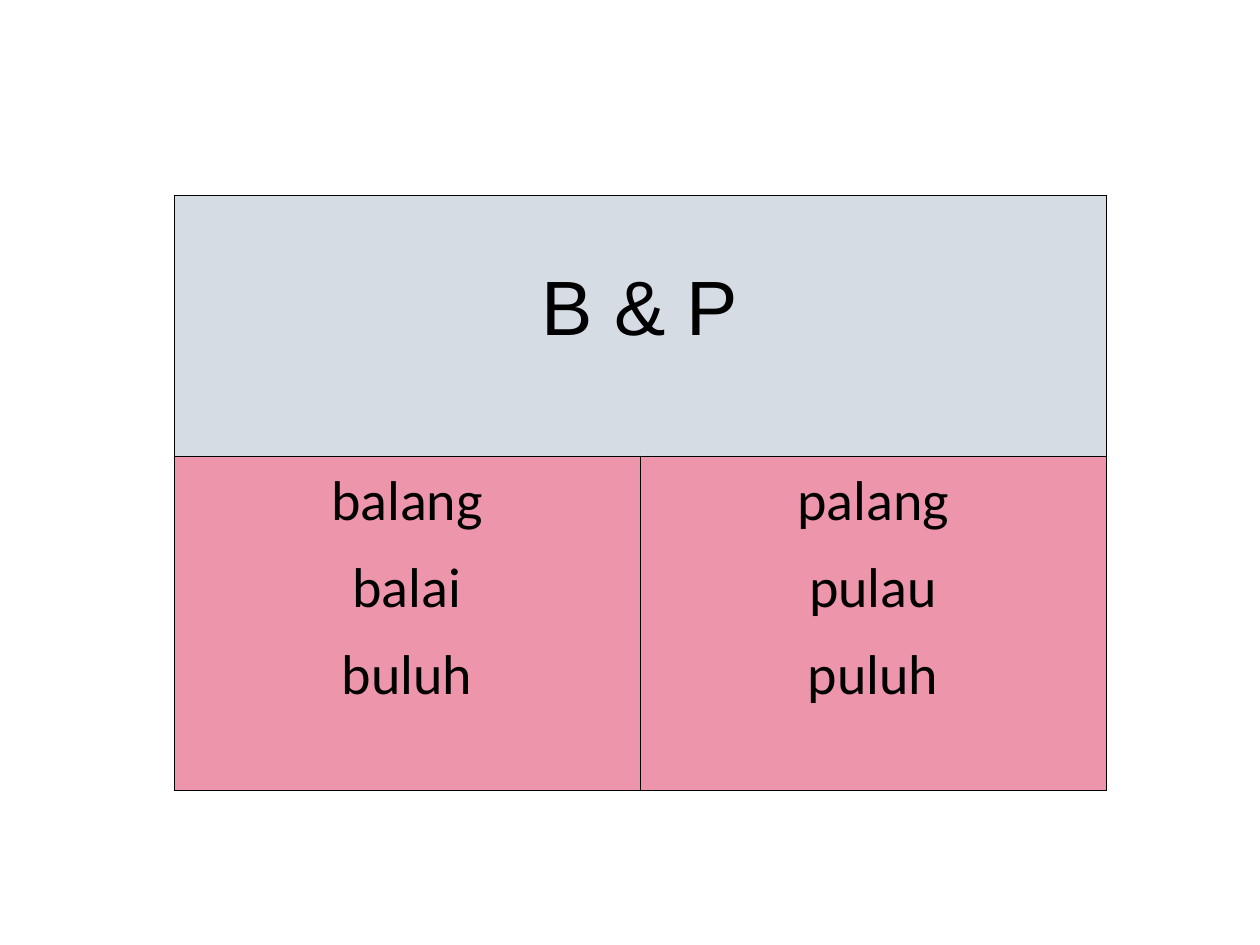
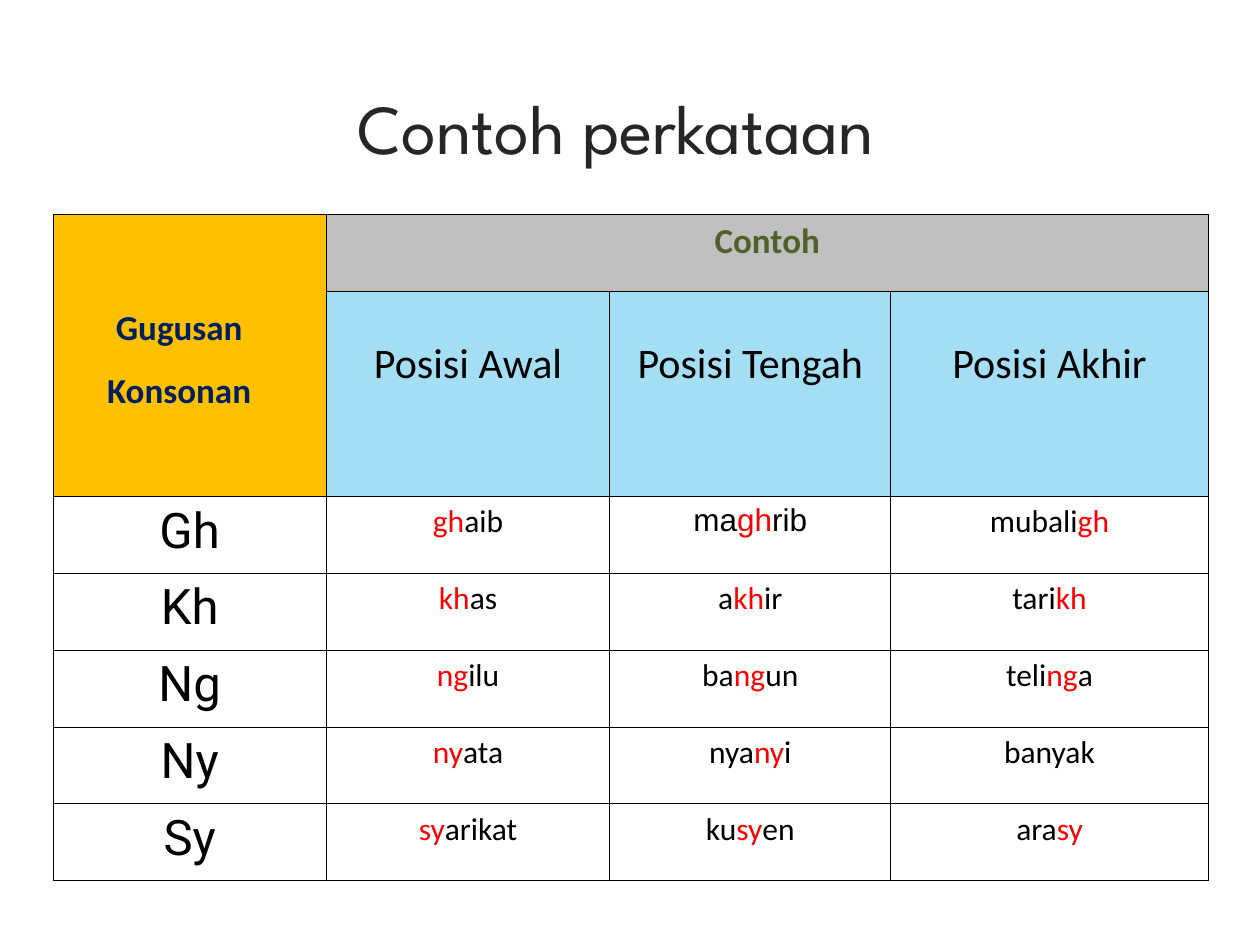
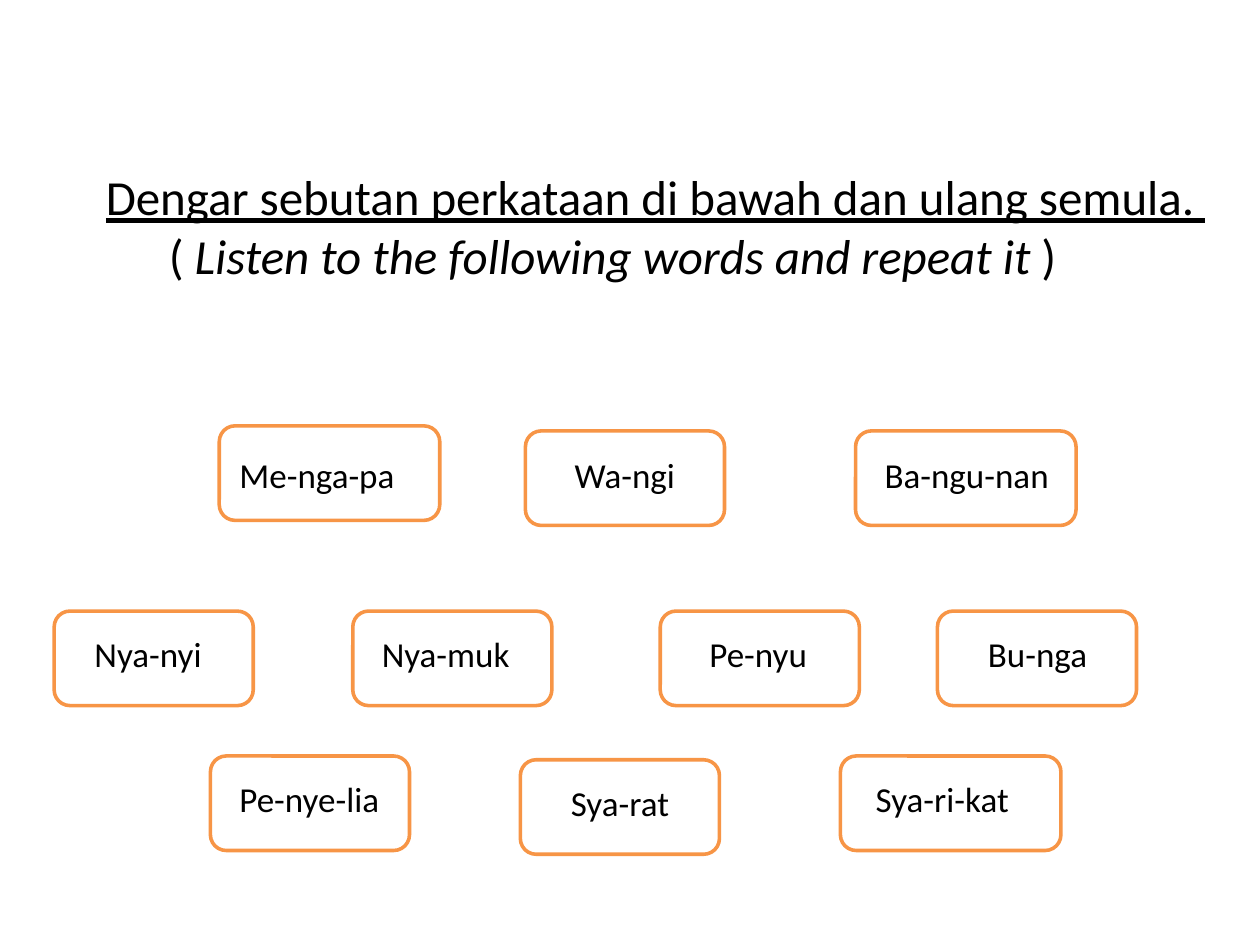
from lxml.etree import SubElement
from pptx import Presentation
from pptx.dml.color import RGBColor
from pptx.enum.shapes import MSO_SHAPE
from pptx.enum.text import MSO_ANCHOR, PP_ALIGN
from pptx.oxml.ns import qn
from pptx.util import Inches, Pt

BLACK, RED, ORANGE = "000000", "FF0000", "F79546"


def color(value):
    return RGBColor.from_string(value)


class Deck:
    """Holds the shared style and the current slide."""

    font = "Calibri"
    word_size = 20

    def __init__(self):
        self.presentation = Presentation()
        self.presentation.slide_width = Inches(10)
        self.presentation.slide_height = Inches(7.5)
        self.slide = None

    def new_slide(self):
        self.slide = self.presentation.slides.add_slide(self.presentation.slide_layouts[6])

    def style(self, paragraph, size, text_color=BLACK, font=None, bold=False):
        paragraph.font.size = Pt(size)
        paragraph.font.name = font or self.font
        paragraph.font.color.rgb = color(text_color)
        paragraph.font.bold = bold

    def text_box(self, left, top, width, height, text="", size=20, **look):
        shape = self.slide.shapes.add_textbox(
            Inches(left), Inches(top), Inches(width), Inches(height))
        frame = shape.text_frame
        frame.word_wrap = True
        frame.margin_left = frame.margin_right = frame.margin_bottom = 0
        frame.margin_top = Inches(0.01)
        paragraph = frame.paragraphs[0]
        if text:
            paragraph.text = text
        self.style(paragraph, size, **look)
        return frame

    def word_card(self, word, left, top, width, text_left, text_top):
        card = self.slide.shapes.add_shape(
            MSO_SHAPE.ROUNDED_RECTANGLE, Inches(left), Inches(top), Inches(width), Inches(0.75))
        card.shadow.inherit = False
        card.fill.background()
        card.line.color.rgb = color(ORANGE)
        card.line.width = Pt(2.04)
        self.text_box(text_left, text_top, left + width - text_left, 0.35, word, self.word_size)

    def table(self, left, top, widths, heights):
        table = self.slide.shapes.add_table(
            len(heights), len(widths), Inches(left), Inches(top),
            Inches(sum(widths)), Inches(sum(heights))).table
        table.first_row = table.horz_banding = False
        for column, width in zip(table.columns, widths):
            column.width = Inches(width)
        for row, height in zip(table.rows, heights):
            row.height = Inches(height)
        for cell in table.iter_cells():
            self.border(cell)
            cell.fill.background()
        return table

    def border(self, cell):
        properties = cell._tc.get_or_add_tcPr()
        for side in ("lnL", "lnR", "lnT", "lnB"):
            line = SubElement(properties, qn(f"a:{side}"), w=str(Pt(0.45)))
            SubElement(SubElement(line, qn("a:solidFill")), qn("a:srgbClr"), val=BLACK)

    def cell(self, cell, lines, size, fill=None, margin_top=0.05, **look):
        """Write centred lines; letters between asterisks turn red."""
        if fill:
            cell.fill.solid()
            cell.fill.fore_color.rgb = color(fill)
        cell.margin_top = Inches(margin_top)
        frame = cell.text_frame
        for index, line in enumerate(lines):
            paragraph = frame.add_paragraph() if index else frame.paragraphs[0]
            paragraph.alignment = PP_ALIGN.CENTER
            for position, letters in enumerate(line.split("*")):
                if letters:
                    run = paragraph.add_run()
                    run.text = letters
                    if position % 2:
                        run.font.color.rgb = color(RED)
            self.style(paragraph, size, **look)
        return frame.paragraphs


def build_sound_pair(deck):
    deck.new_slide()
    table = deck.table(1.38, 1.55, [3.7, 3.7], [2.07, 2.65])
    table.cell(0, 0).merge(table.cell(0, 1))
    paragraphs = list(deck.cell(table.cell(0, 0), ["B & P"], 44, "D5DCE4", 0.51, font="Arial"))
    columns = [["balang", "balai", "buluh"], ["palang", "pulau", "puluh"]]
    for index, words in enumerate(columns):
        paragraphs += deck.cell(table.cell(1, index), words, 32, "ED95AA")
    for paragraph in paragraphs:
        paragraph.line_spacing = 1.07
        paragraph.space_after = Pt(8)


def build_examples(deck):
    deck.new_slide()
    # Title
    title = deck.text_box(0.12, 0.43, 9.53, 1.27, "Contoh perkataan", 40,
                          text_color="262626", font="League Spartan")
    title.vertical_anchor = MSO_ANCHOR.MIDDLE
    title.margin_bottom = Inches(0.05)
    title.paragraphs[0].alignment = PP_ALIGN.CENTER
    title.paragraphs[0].line_spacing = 0.9

    # Table heading
    table = deck.table(0.42, 1.7, [2.17, 2.25, 2.23, 2.52], [0.61, 1.55] + [0.61] * 5)
    table.cell(0, 0).merge(table.cell(1, 0))
    table.cell(0, 1).merge(table.cell(0, 3))
    group = deck.cell(table.cell(0, 0), ["Gugusan Konsonan"], 20, "FFC000", 0.58,
                      text_color="001F5F", bold=True)[0]
    group.alignment = PP_ALIGN.LEFT
    group.line_spacing = Pt(36)
    indent = group._p.get_or_add_pPr()
    indent.set("marL", str(Inches(0.33)))
    indent.set("indent", str(Inches(0.07)))
    deck.cell(table.cell(0, 1), ["Contoh"], 20, "BFBFBF", text_color="4F6128", bold=True)
    for column, position in enumerate(["Posisi Awal", "Posisi Tengah", "Posisi Akhir"], 1):
        deck.cell(table.cell(1, column), [position], 24, "A4DEF4", 0.38)

    # Example words
    examples = [
        ("Gh", "*gh*aib", "ma*gh*rib", "mubali*gh*"),
        ("Kh", "*kh*as", "a*kh*ir", "tari*kh*"),
        ("Ng", "*ng*ilu", "ba*ng*un", "teli*ng*a"),
        ("Ny", "*ny*ata", "nya*ny*i", "banyak"),
        ("Sy", "*sy*arikat", "ku*sy*en", "ara*sy*"),
    ]
    for row, (cluster, *words) in enumerate(examples, 2):
        deck.cell(table.cell(row, 0), [cluster], 28, font="Roboto")
        for column, word in enumerate(words, 1):
            font = "Arial" if word == "ma*gh*rib" else None
            deck.cell(table.cell(row, column), [word], 18, font=font)


def build_listening(deck):
    deck.new_slide()
    # Instruction with a hanging indent
    paragraph = deck.text_box(0.83, 1.31, 8.82, 0.95, size=28).paragraphs[0]
    indent = paragraph._p.get_or_add_pPr()
    indent.set("marL", str(Inches(0.51)))
    indent.set("indent", str(Inches(-0.5)))
    instruction = paragraph.add_run()
    instruction.text = "Dengar sebutan perkataan di bawah dan ulang semula. "
    instruction.font.underline = True
    paragraph.add_line_break()
    for text, italic in [("( ", False), ("Listen to the following words and repeat it ", True),
                         (")", False)]:
        run = paragraph.add_run()
        run.text = text
        run.font.italic = italic

    # Word cards: word, left, top, width, text left, text top
    cards = [
        ("Me-nga-pa", 1.74, 3.38, 1.75, 1.9, 3.59),
        ("Wa-ngi", 4.17, 3.42, 1.58, 4.56, 3.59),
        ("Ba-ngu-nan", 6.79, 3.42, 1.75, 7.02, 3.59),
        ("Nya-nyi", 0.43, 4.85, 1.58, 0.75, 5.01),
        ("Nya-muk", 2.8, 4.85, 1.58, 3.03, 5.01),
        ("Pe-nyu", 5.24, 4.85, 1.58, 5.63, 5.01),
        ("Bu-nga", 7.44, 4.85, 1.58, 7.84, 5.01),
        ("Pe-nye-lia", 1.67, 6, 1.58, 1.9, 6.16),
        ("Sya-rat", 4.13, 6.03, 1.58, 4.53, 6.19),
        ("Sya-ri-kat", 6.67, 6, 1.75, 6.95, 6.16),
    ]
    for card in cards:
        deck.word_card(*card)


def main():
    deck = Deck()
    build_sound_pair(deck)
    build_examples(deck)
    build_listening(deck)
    deck.presentation.save("out.pptx")


if __name__ == "__main__":
    main()
